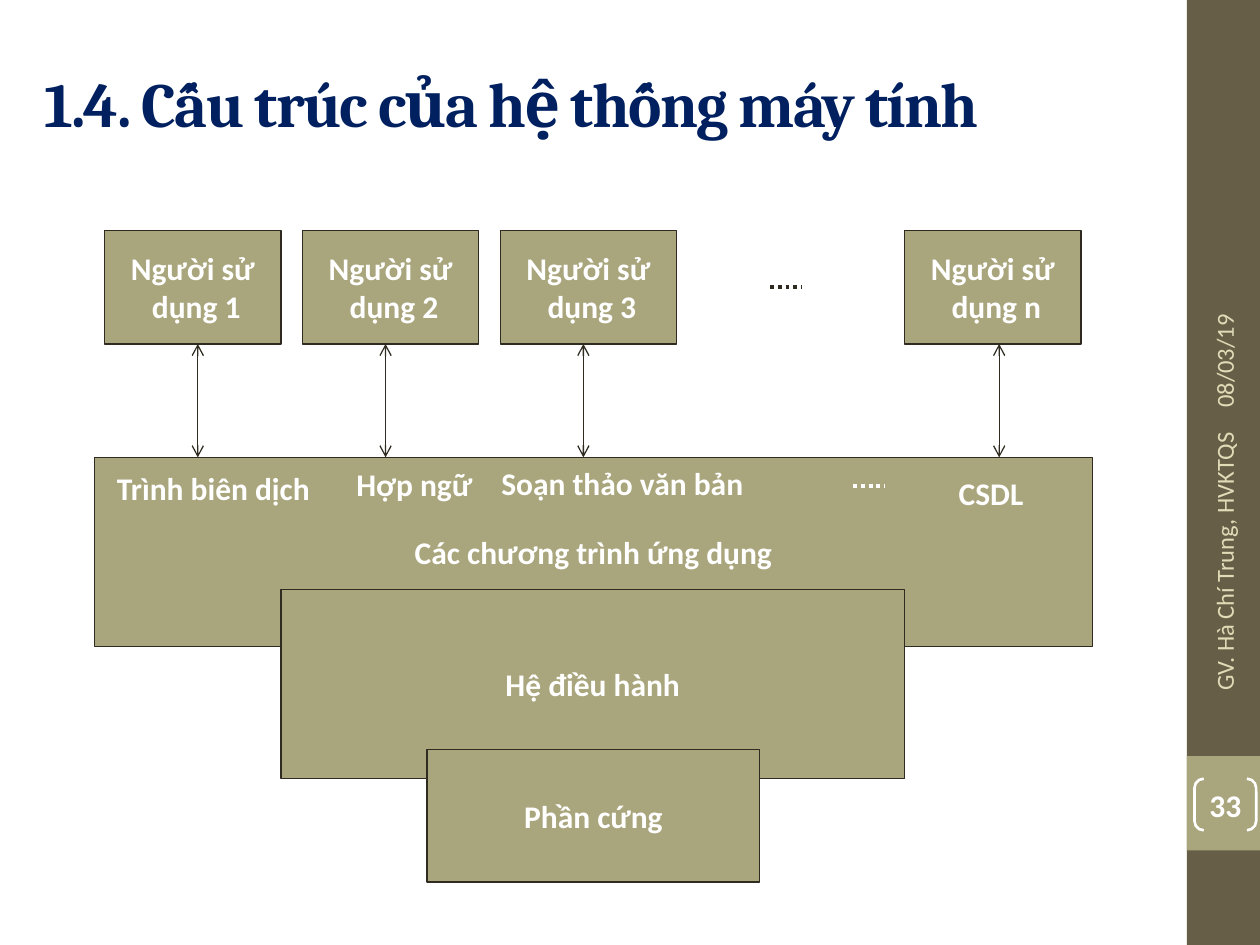
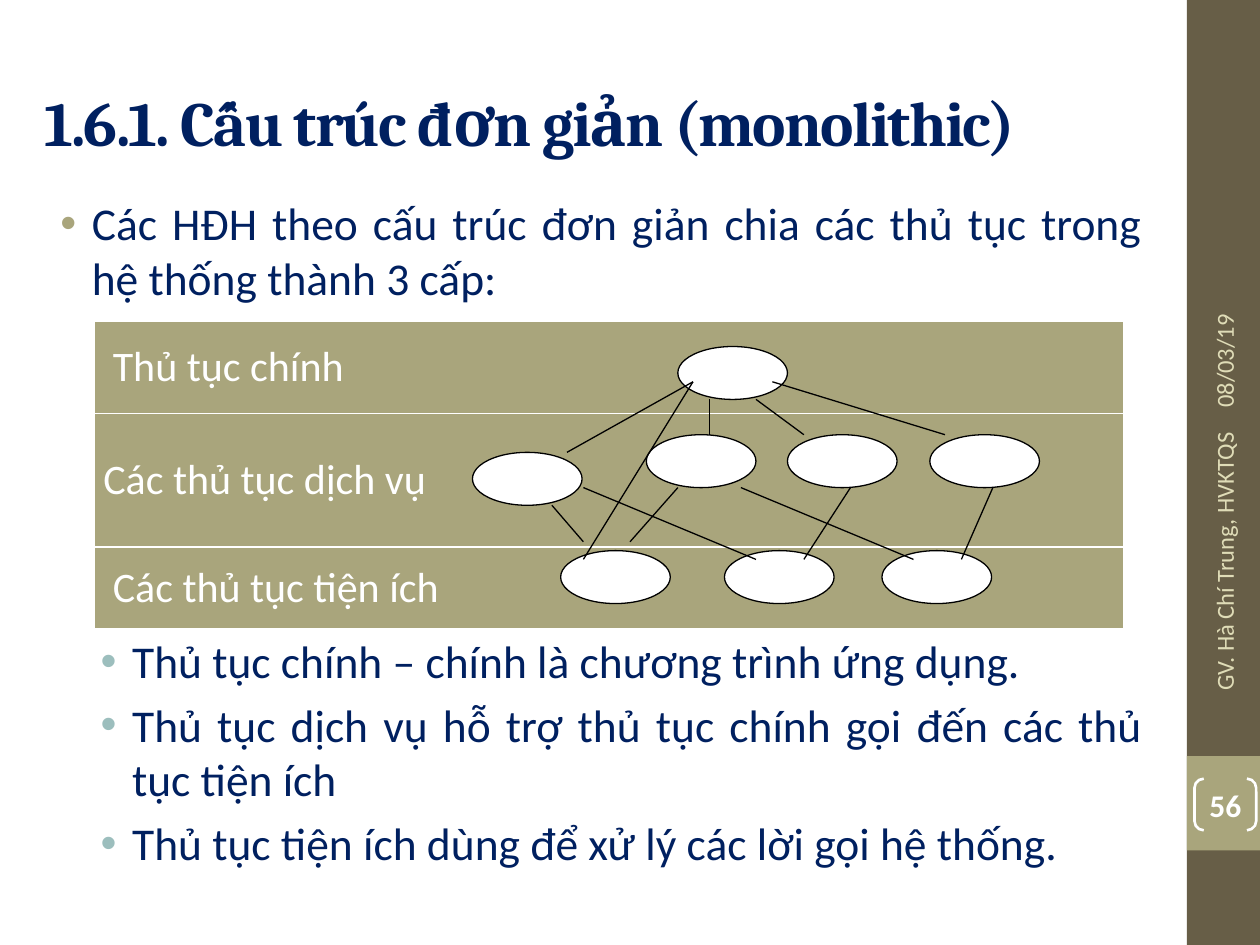
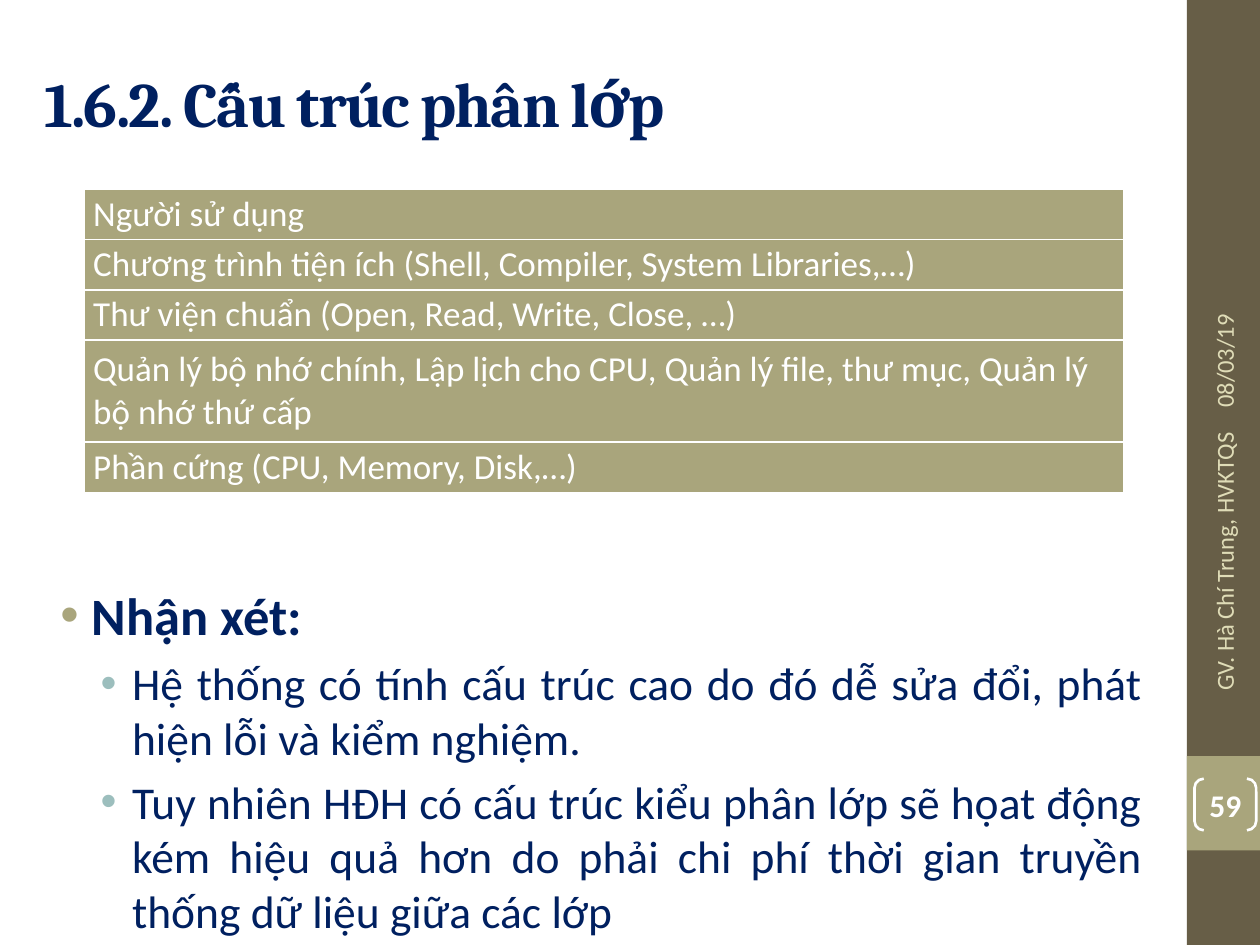
from pptx import Presentation
from pptx.dml.color import RGBColor
from pptx.enum.dml import MSO_LINE
from pptx.enum.shapes import MSO_CONNECTOR, MSO_SHAPE
from pptx.enum.text import MSO_ANCHOR, PP_ALIGN
from pptx.oxml.ns import qn
from pptx.util import Inches, Pt
from lxml.etree import SubElement

HUES = {"band": "675E47", "olive": "A9A57C", "navy": "002060", "cream": "DFDCB7",
        "dark": "2F2B20", "teal": "9CBEBD", "white": "FFFFFF", "black": "000000"}
TONE = {name: RGBColor.from_string(code) for name, code in HUES.items()}


def form(page, kind, area, fill=None, edge=None, width=0.75):
    shape = page.shapes.add_shape(kind, *map(Inches, area))
    shape.shadow.inherit = False
    if fill:
        shape.fill.solid()
        shape.fill.fore_color.rgb = TONE[fill]
    else:
        shape.fill.background()
    if edge:
        shape.line.color.rgb = TONE[edge]
        shape.line.width = Pt(width)
    else:
        shape.line.fill.background()
    return shape


def write(frame, text, size, tone="white", bold=False, align=PP_ALIGN.LEFT,
          font="Calibri", anchor=MSO_ANCHOR.MIDDLE, wrap=True):
    frame.text = text
    frame.word_wrap = wrap
    frame.vertical_anchor = anchor
    for para in frame.paragraphs:
        para.alignment = align
        para.font.name = font
        para.font.size = Pt(size)
        para.font.bold = bold
        para.font.color.rgb = TONE[tone]


deck = Presentation()
deck.slide_width, deck.slide_height = Inches(10), Inches(7.5)

pages = []
for title, number in [("1.4. Cấu trúc của hệ thống máy tính", "33"),
                      ("1.6.1. Cấu trúc đơn giản (monolithic)", "56"),
                      ("1.6.2. Cấu trúc phân lớp", "59")]:
    page = deck.slides.add_slide(deck.slide_layouts[5])
    pages.append(page)
    form(page, MSO_SHAPE.RECTANGLE, (9.42, 0, 0.58, 7.5), "band")
    form(page, MSO_SHAPE.RECTANGLE, (9.42, 6, 0.58, 0.75), "olive")

    head = page.shapes.title
    head.left, head.top, head.width, head.height = map(Inches, (0.25, 0.3, 8.92, 1.03))
    write(head.text_frame, title, 36, "navy", True, font="Cambria")
    head.text_frame.paragraphs[0].runs[0].font._element.set("spc", "-100")

    for text, area, align in [
            ("08/03/19", (8.38, 1.8, 2.67, 0.4), PP_ALIGN.LEFT),
            ("GV. Hà Chí Trung, HVKTQS", (8.42, 4.43, 2.59, 0.4), PP_ALIGN.RIGHT)]:
        note = page.shapes.add_textbox(*map(Inches, area))
        note.rotation = 270
        write(note.text_frame, text, 14, "cream", align=align)

    badge = form(page, MSO_SHAPE.DOUBLE_BRACKET, (9.48, 6.18, 0.49, 0.41), None, "white", 1.5)
    badge.adjustments[0] = 0.18
    frame = badge.text_frame
    frame.margin_left = frame.margin_right = frame.margin_top = frame.margin_bottom = 0
    write(frame, number, 18, bold=True, align=PP_ALIGN.CENTER)

system, simple, layered = pages
simple.shapes.title.text_frame.paragraphs[0].line_spacing = 1.5

boxes = [(f"Người sử\n dụng {user}", (left, 1.83, 1.4, 0.9))
         for user, left in [("1", 0.83), ("2", 2.4), ("3", 3.97), ("n", 7.18)]]
boxes += [("Các chương trình ứng dụng", (0.75, 3.63, 7.92, 1.5)),
          ("Hệ điều hành", (2.23, 4.68, 4.95, 1.5)),
          ("Phần cứng", (3.39, 5.95, 2.64, 1.05))]
for text, area in boxes:
    box = form(system, MSO_SHAPE.RECTANGLE, area, "olive", "dark")
    write(box.text_frame, text, 18, bold=True, align=PP_ALIGN.CENTER, wrap=False)

for text, left, top, width in [("Trình biên dịch", 0.83, 3.67, 1.98),
                               ("Hợp ngữ", 2.73, 3.64, 1.49),
                               ("Soạn thảo văn bản", 3.88, 3.63, 2.39),
                               ("CSDL", 7.51, 3.71, 1.49)]:
    label = system.shapes.add_textbox(*map(Inches, (left, top, width, 0.4)))
    write(label.text_frame, text, 18, bold=True, anchor=MSO_ANCHOR.TOP)

for page, area, items in [
        (simple, (0.25, 1.5, 8.92, 5.83), [
            (0, 26, 0, "Các HĐH theo cấu trúc đơn giản chia các thủ tục trong hệ thống thành 3 cấp:"),
            (1, 26, 188, "Thủ tục chính – chính là chương trình ứng dụng."),
            (1, 26, 5.2, "Thủ tục dịch vụ hỗ trợ thủ tục chính gọi đến các thủ tục tiện ích"),
            (1, 26, 5.2, "Thủ tục tiện ích dùng để xử lý các lời gọi hệ thống.")]),
        (layered, (0.25, 4.58, 8.92, 2.75), [
            (0, 30, 0, "Nhận xét:"),
            (1, 26, 5.2, "Hệ thống có tính cấu trúc cao do đó dễ sửa đổi, phát hiện lỗi và kiểm nghiệm."),
            (1, 26, 5.2, "Tuy nhiên HĐH có cấu trúc kiểu phân lớp sẽ họat động kém hiệu quả hơn "
                         "do phải chi phí thời gian truyền thống dữ liệu giữa các lớp")])]:
    frame = page.shapes.add_textbox(*map(Inches, area)).text_frame
    write(frame, "\n".join(item[3] for item in items), 26, "navy",
          align=PP_ALIGN.JUSTIFY, anchor=MSO_ANCHOR.TOP)
    for para, (level, size, gap, text) in zip(frame.paragraphs, items):
        para.level = level
        para.font.size = Pt(size)
        para.font.bold = size == 30
        para.space_before = Pt(gap)
        props = para._p.get_or_add_pPr()
        props.set("marL", str(Inches((0.38, 0.7)[level])))
        props.set("indent", str(Inches(-0.25)))
        paint = SubElement(props, qn("a:buClr"))
        SubElement(paint, qn("a:srgbClr")).set("val", HUES[("olive", "teal")[level]])
        SubElement(props, qn("a:buFont")).set("typeface", "Arial")
        SubElement(props, qn("a:buChar")).set("char", "•")
        mark = props.find(qn("a:defRPr"))
        if mark is not None:
            props.append(mark)

for page, left, top, width, size, align, rows in [
        (simple, 0.75, 2.55, 8.17, 24, PP_ALIGN.JUSTIFY, [
            (" Thủ tục chính", 0.73),
            ("Các thủ tục dịch vụ ", 1.06),
            (" Các thủ tục tiện ích", 0.65)]),
        (layered, 0.67, 1.5, 8.25, 20, PP_ALIGN.LEFT, [
            ("Người sử dụng", 0.4),
            ("Chương trình tiện ích (Shell, Compiler, System Libraries,…)", 0.4),
            ("Thư viện chuẩn (Open, Read, Write, Close, …)", 0.4),
            ("Quản lý bộ nhớ chính, Lập lịch cho CPU, Quản lý file, thư mục, "
             "Quản lý bộ nhớ thứ cấp", 0.81),
            ("Phần cứng (CPU, Memory, Disk,…)", 0.4)])]:
    height = sum(row[1] for row in rows)
    table = page.shapes.add_table(
        len(rows), 1, *map(Inches, (left, top, width, height))).table
    table.first_row = table.horz_banding = False
    for index, (text, height) in enumerate(rows):
        table.rows[index].height = Inches(height)
        cell = table.cell(index, 0)
        cell.margin_left = cell.margin_right = Inches(0.07)
        cell.margin_top = cell.margin_bottom = 0
        cell.vertical_anchor = MSO_ANCHOR.MIDDLE
        for side in ("lnL", "lnR", "lnT", "lnB"):
            rule = SubElement(cell._tc.get_or_add_tcPr(), qn(f"a:{side}"), w=str(Pt(1)))
            paint = SubElement(rule, qn("a:solidFill"))
            SubElement(paint, qn("a:srgbClr")).set("val", HUES["white"])
        cell.fill.solid()
        cell.fill.fore_color.rgb = TONE["olive"]
        cell.text = text
        para = cell.text_frame.paragraphs[0]
        para.alignment = align
        para.font.name = "Calibri"
        para.font.size = Pt(size)
        para.font.bold = False
        para.font.color.rgb = TONE["white"]

for top, lefts in [(2.75, [5.38]), (3.59, [3.75]), (3.45, [5.13, 6.25, 7.38]),
                   (4.37, [4.45, 5.75, 7])]:
    for left in lefts:
        form(simple, MSO_SHAPE.OVAL, (left, top, 0.87, 0.42), "white", "black")

lines = [(system, "dark", "arrow", (x, 2.73, x, 3.63)) for x in (1.57, 3.06, 4.63, 7.93)]
lines += [(system, "dark", "dots", (6.11, 2.28, 6.36, 2.28)),
          (system, "white", "dots", (6.77, 3.86, 7.02, 3.86))]
lines += [(simple, "black", "plain", ends) for ends in [
    (4.5, 3.59, 5.5, 3.03), (5.63, 3.17, 5.63, 3.45), (6, 3.17, 6.38, 3.45),
    (6.13, 3.03, 7.5, 3.45), (4.38, 4.01, 4.63, 4.3), (4.63, 3.87, 6, 4.44),
    (5.38, 3.87, 5, 4.3), (5.88, 3.87, 7.25, 4.44), (6.75, 3.87, 6.38, 4.44),
    (7.88, 3.87, 7.63, 4.44), (5.5, 3.03, 4.63, 4.44)]]
for page, tone, style, ends in lines:
    link = page.shapes.add_connector(MSO_CONNECTOR.STRAIGHT, *map(Inches, ends))
    link.line.color.rgb = TONE[tone]
    link.line.width = Pt(2.25 if style == "dots" else 0.75)
    props = link._element.spPr
    if style == "dots":
        link.line.dash_style = MSO_LINE.ROUND_DOT
    if style == "arrow":
        for tip in ("headEnd", "tailEnd"):
            SubElement(props.find(qn("a:ln")), qn(f"a:{tip}")).set("type", "arrow")
    SubElement(props, qn("a:effectLst"))

deck.save("out.pptx")
